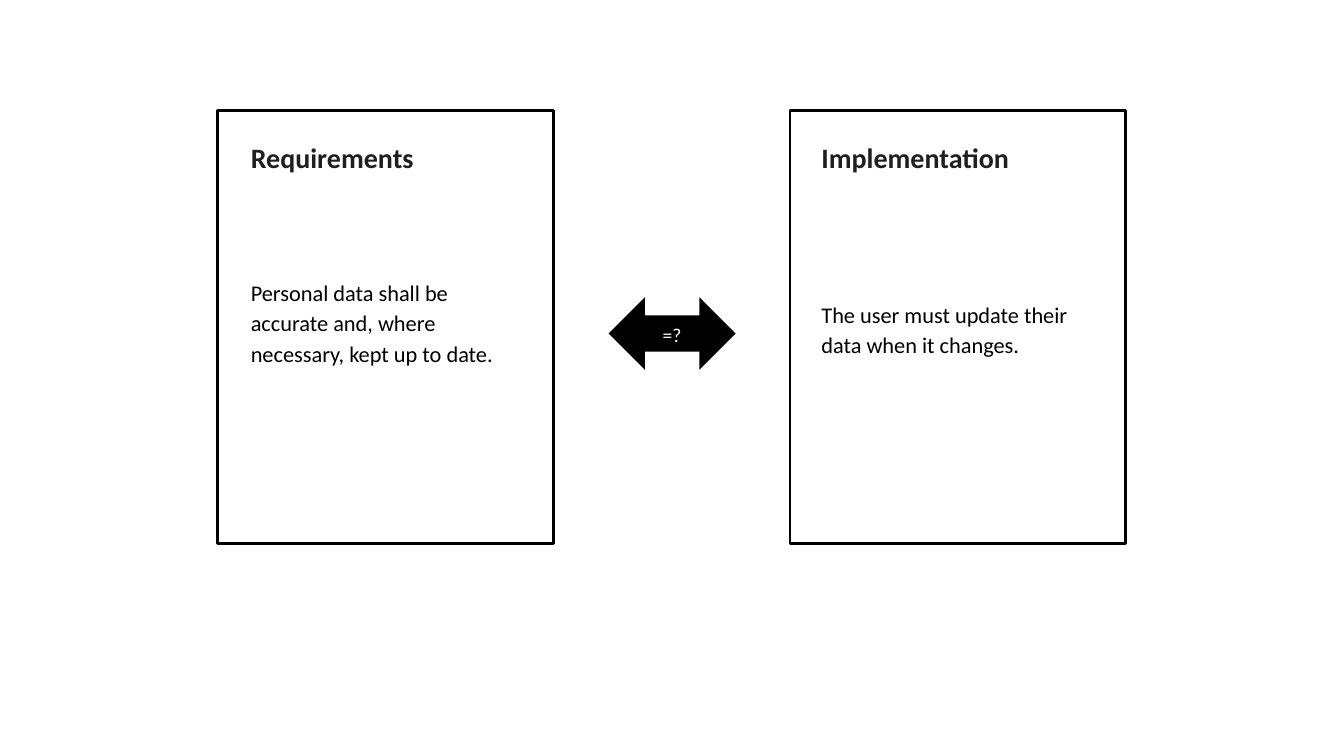
"""Build a slide that sets a requirement against its implementation."""
from dataclasses import dataclass
from lxml.etree import SubElement
from pptx import Presentation
from pptx.dml.color import RGBColor
from pptx.enum.shapes import MSO_SHAPE
from pptx.enum.text import MSO_ANCHOR, MSO_AUTO_SIZE, PP_ALIGN
from pptx.oxml.ns import qn
from pptx.util import Cm, Pt


@dataclass(frozen=True)
class Theme:
    font: str = "Calibri"
    black: str = "000000"
    white: str = "FFFFFF"
    ink: str = "1F1F1F"
    head: int = 20
    body: int = 16
    sign: int = 14
    edge: int = 2
    lead: float = 1.14


CARDS = [
    dict(head="Requirements",
         body="Personal data shall be accurate and, where necessary, kept up to date.",
         left=5.49, text=6.32, top=6.93, width=6.73, height=2.29),
    dict(head="Implementation",
         body="The user must update their data when it changes.",
         left=19.91, text=20.7, top=7.49, width=6.55, height=1.52),
]
SIGN = "=?"
CARD_TOP, CARD_W, CARD_H = 2.79, 8.46, 10.9
HEAD_TOP, HEAD_W, HEAD_H = 3.43, 7.35, 0.91
ARROW = (15.34, 7.49, 3.2, 1.83)
theme = Theme()


def style(shape, text, size, color, bold=False, align=PP_ALIGN.LEFT):
    frame = shape.text_frame
    frame.text = text
    frame.word_wrap = True
    para = frame.paragraphs[0]
    para.alignment = align
    para.line_spacing = theme.lead
    para.space_before = Pt(0)
    font = para.runs[0].font
    font.name, font.size, font.bold = theme.font, Pt(size), bold
    font.color.rgb = RGBColor.from_string(color)
    return frame


def fill_in(holder, box, *look):
    holder.left, holder.top, holder.width, holder.height = map(Cm, box)
    frame = style(holder, *look)
    frame.auto_size = MSO_AUTO_SIZE.NONE
    frame.vertical_anchor = MSO_ANCHOR.TOP
    frame.margin_left = frame.margin_right = 0
    frame.margin_top = frame.margin_bottom = 0
    props = frame.paragraphs[0]._p.get_or_add_pPr()
    props.set("marL", "0")
    props.set("indent", "0")
    SubElement(props, qn("a:buNone"))


def draw(kind, box, fill):
    shape = slide.shapes.add_shape(kind, *map(Cm, box))
    shape.shadow.inherit = False
    shape.fill.solid()
    shape.fill.fore_color.rgb = RGBColor.from_string(fill)
    return shape


deck = Presentation()
deck.slide_width, deck.slide_height = Cm(33.87), Cm(19.05)
slide = deck.slides.add_slide(deck.slide_layouts.get_by_name("Comparison"))
title, *holders = slide.placeholders
title.element.getparent().remove(title.element)
first = holders[0].element

for card, head, body in zip(CARDS, holders[::2], holders[1::2]):
    panel = draw(MSO_SHAPE.RECTANGLE,
                 (card["left"], CARD_TOP, CARD_W, CARD_H), theme.white)
    panel.line.color.rgb = RGBColor.from_string(theme.black)
    panel.line.width = Pt(theme.edge)
    first.addprevious(panel.element)
    fill_in(head, (card["text"], HEAD_TOP, HEAD_W, HEAD_H),
            card["head"], theme.head, theme.ink, True)
    fill_in(body, (card["text"], card["top"], card["width"], card["height"]),
            card["body"], theme.body, theme.black)

arrow = draw(MSO_SHAPE.LEFT_RIGHT_ARROW, ARROW, theme.black)
arrow.line.fill.background()
frame = style(arrow, SIGN, theme.sign, theme.white, align=PP_ALIGN.CENTER)
frame.vertical_anchor = MSO_ANCHOR.MIDDLE

deck.save("out.pptx")
